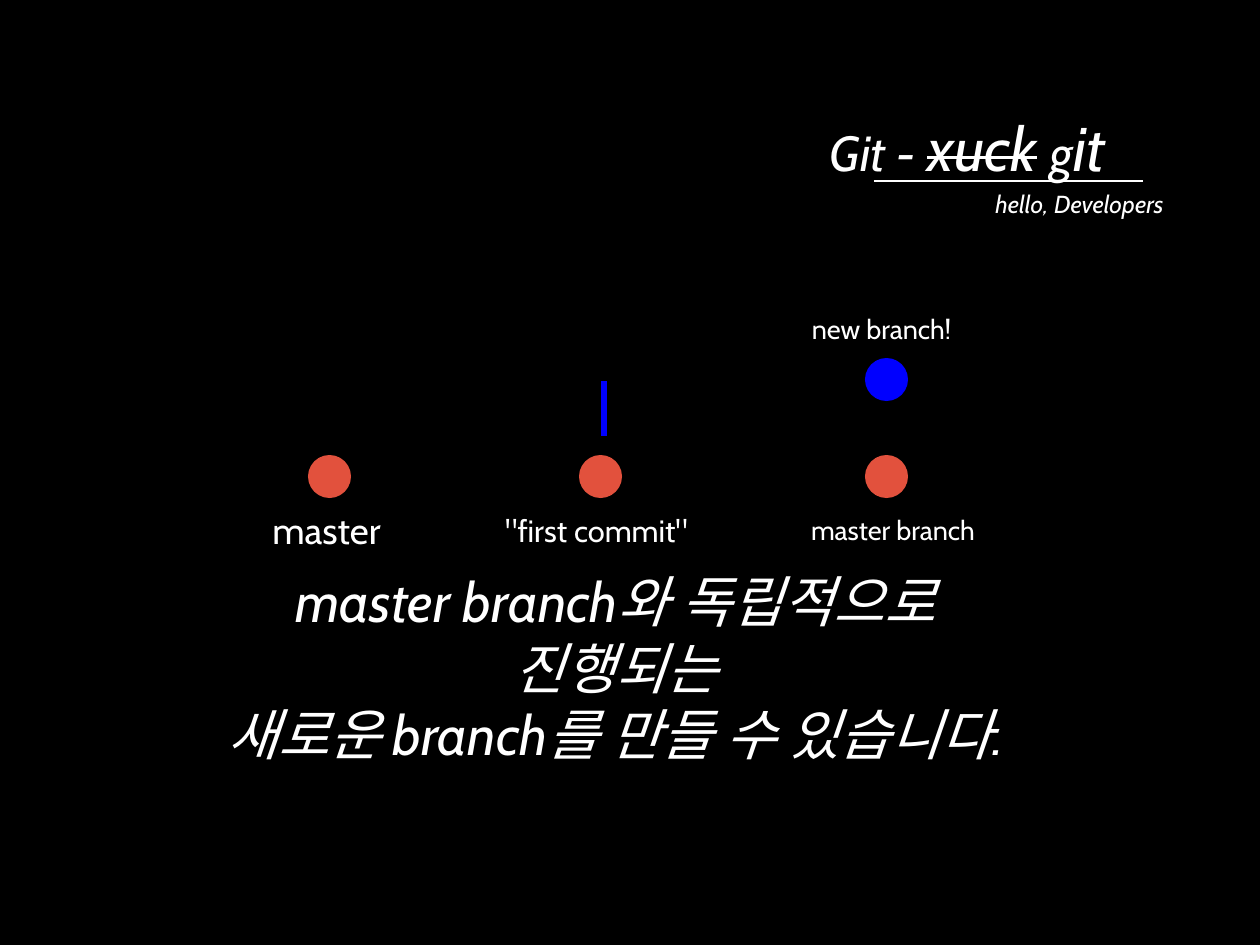
from lxml import etree
from pptx import Presentation
from pptx.dml.color import RGBColor
from pptx.enum.shapes import MSO_CONNECTOR, MSO_SHAPE
from pptx.enum.text import MSO_ANCHOR, MSO_AUTO_SIZE, PP_ALIGN
from pptx.oxml.ns import qn
from pptx.util import Pt

PX = 10321
INSET = 5 * PX
FONT = "Cabin"
COLORS = {name: RGBColor.from_string(value) for name, value in {
    "background": "000000",
    "text": "FFFFFF",
    "master": "E2513D",
    "branch": "0000FF",
}.items()}
STRAIGHT = MSO_CONNECTOR.STRAIGHT
OVAL = MSO_SHAPE.OVAL
CENTER = PP_ALIGN.CENTER
FRAME_FORMAT = {
    "margin_left": INSET, "margin_top": INSET,
    "margin_right": INSET, "margin_bottom": INSET,
    "vertical_anchor": MSO_ANCHOR.MIDDLE,
    "word_wrap": False,
    "auto_size": MSO_AUTO_SIZE.SHAPE_TO_FIT_TEXT,
}


def format_frame(frame):
    for attribute, value in FRAME_FORMAT.items():
        setattr(frame, attribute, value)


def add_run(paragraph, text, size, italic):
    paragraph.alignment = CENTER
    run = paragraph.add_run()
    run.text = text
    for attribute, value in {"name": FONT, "size": Pt(size), "italic": italic}.items():
        setattr(run.font, attribute, value)
    run.font.color.rgb = COLORS["text"]
    return run


prs = Presentation()
prs.slide_width, prs.slide_height = 1260 * PX, 945 * PX
slide = prs.slides.add_slide(prs.slide_layouts[5])
slide.background.fill.solid()
slide.background.fill.fore_color.rgb = COLORS["background"]

# Title with one struck word
title = slide.shapes.title
title.left, title.top, title.width, title.height = [n * PX for n in (818, 110, 299, 73)]
format_frame(title.text_frame)
heading = title.text_frame.paragraphs[0]
for text, size in [("Git - ", 40), ("xuck", 50), (" ", 50), ("g", 40), ("it", 50)]:
    word = add_run(heading, text, size, True)
    if text == "xuck":
        word.font._element.set("strike", "sngStrike")

# Rule under the title and the stem of the new branch
for x1, y1, x2, y2, color, weight in [
    (874, 181, 1143, 181, "text", 1.5),
    (604, 436, 604, 381, "branch", 5.5),
]:
    stroke = slide.shapes.add_connector(STRAIGHT, x1 * PX, y1 * PX, x2 * PX, y2 * PX)
    stroke.line.color.rgb = COLORS[color]
    stroke.line.width = Pt(weight)
    etree.SubElement(stroke._element.spPr, qn("a:effectLst"))

# Commits
for left, top, color in [
    (308, 455, "master"),
    (579, 455, "master"),
    (865, 455, "master"),
    (865, 358, "branch"),
]:
    commit = slide.shapes.add_shape(OVAL, left * PX, top * PX, 43 * PX, 43 * PX)
    commit.shadow.inherit = False
    commit.fill.solid()
    commit.fill.fore_color.rgb = COLORS[color]
    commit.line.fill.background()

# Labels and the message
for left, top, width, height, size, italic, lines in [
    (986, 186, 187, 35, 20, True, ["hello, Developers"]),
    (188, 589, 855, 156, 45, True,
     ["master branch와 독립적으로 진행되는", "새로운 branch를 만들 수 있습니다."]),
    (264, 506, 125, 48, 30, False, ["master"]),
    (496, 510, 201, 41, 25, False, ['"first commit"']),
    (801, 511, 184, 38, 22, False, ["master branch"]),
    (802, 310, 159, 38, 22, False, ["new branch!"]),
]:
    label = slide.shapes.add_textbox(left * PX, top * PX, width * PX, height * PX)
    frame = label.text_frame
    format_frame(frame)
    for index, line in enumerate(lines):
        paragraph = frame.add_paragraph() if index else frame.paragraphs[0]
        add_run(paragraph, line, size, italic)

prs.save("out.pptx")
